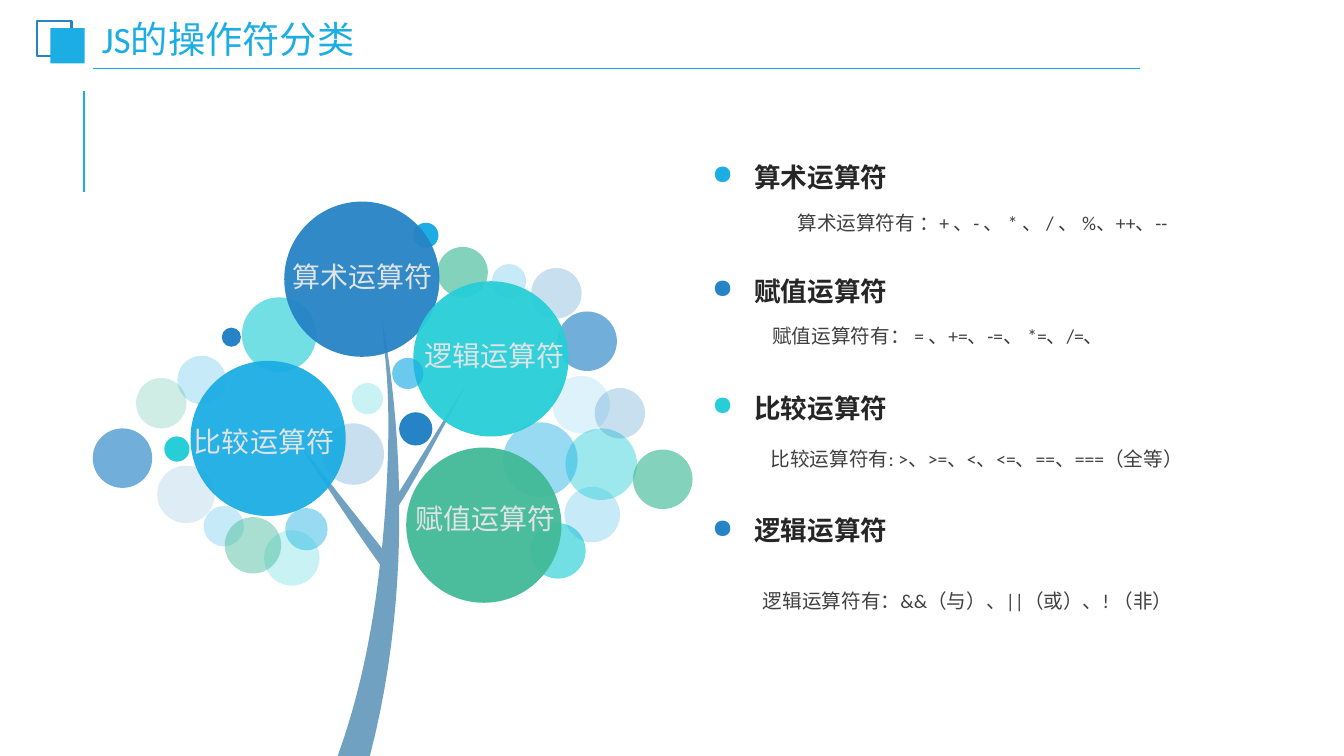
from lxml import etree
from pptx import Presentation, util as u
from pptx.dml.color import RGBColor
from pptx.enum import shapes, text
from pptx.oxml.ns import qn

SKY = RGBColor(0x1C, 0xAD, 0xE4)
BLUE = RGBColor(0x26, 0x83, 0xC6)
TEAL = RGBColor(0x27, 0xCE, 0xD7)
GREEN = RGBColor(0x42, 0xBA, 0x97)
TRUNK = RGBColor(0x70, 0xA1, 0xC0)
PALE = RGBColor(0xDF, 0xE3, 0xE5)
INK = RGBColor(0x26, 0x26, 0x26)
GREY = RGBColor(0x40, 0x40, 0x40)

# The grid has 133.33 columns and 75 rows; each cell is a tenth of an inch
CELL = u.Inches(0.1)
COLUMNS, ROWS = 133.33, 75


def cells(*counts):
    return [round(count * CELL) for count in counts]


def curve(start, first, second, end, steps=12):
    """Points along a cubic curve, without its start."""
    points = []
    for step in range(1, steps + 1):
        t = step / steps
        weights = ((1 - t) ** 3, 3 * t * (1 - t) ** 2, 3 * t * t * (1 - t), t ** 3)
        points.append(tuple(
            sum(w * p[axis] for w, p in zip(weights, (start, first, second, end)))
            for axis in (0, 1)))
    return points


class SlidePainter:
    font = "Calibri"

    def __init__(self, page):
        self.page = page

    def style(self, frame, size, color, bold=False, align=None, spacing=None):
        para = frame.paragraphs[0]
        para.alignment = align
        if spacing:
            para.line_spacing = spacing
        for span in para.runs:
            span.font.name = self.font
            span.font.size = u.Pt(size)
            span.font.bold = bold
            span.font.color.rgb = color

    def inset(self, frame, side, edge):
        frame.margin_left = frame.margin_right = u.Inches(side)
        frame.margin_top = frame.margin_bottom = u.Inches(edge)

    def title(self, words, left, top, width, height):
        box = self.page.shapes.title
        box.left, box.top, box.width, box.height = cells(left, top, width, height)
        frame = box.text_frame
        frame.text = words
        frame.auto_size = text.MSO_AUTO_SIZE.NONE
        frame.vertical_anchor = text.MSO_ANCHOR.MIDDLE
        self.inset(frame, 0.07, 0.04)
        self.style(frame, 26.6, SKY, align=text.PP_ALIGN.LEFT, spacing=0.9)

    def line(self, x1, y1, x2, y2, weight):
        rule = self.page.shapes.add_connector(
            shapes.MSO_CONNECTOR.STRAIGHT, *cells(x1, y1, x2, y2))
        rule.line.color.rgb = SKY
        rule.line.width = u.Pt(weight)
        etree.SubElement(rule.element.spPr, qn("a:effectLst"))

    def square(self, left, top, fill=None, outline=None):
        box = self.page.shapes.add_shape(
            shapes.MSO_SHAPE.RECTANGLE, *cells(left, top, 3.4, 3.5))
        self.paint(box, fill)
        if outline:
            box.line.color.rgb = outline
            box.line.width = u.Pt(1.5)

    def paint(self, shape, fill, opacity=100):
        shape.shadow.inherit = False
        shape.line.fill.background()
        if fill is None:
            shape.fill.background()
            return
        shape.fill.solid()
        shape.fill.fore_color.rgb = fill
        if opacity < 100:
            color = shape.element.spPr.find(qn("a:solidFill")).find(qn("a:srgbClr"))
            etree.SubElement(color, qn("a:alpha"), val=str(opacity * 1000))

    def circle(self, left, top, size, fill, opacity):
        disc = self.page.shapes.add_shape(
            shapes.MSO_SHAPE.OVAL, *cells(left, top, size, size))
        self.paint(disc, fill, opacity)

    def outline(self, start, segments, fill):
        points = [start]
        for segment in segments:
            points += curve(points[-1], *segment) if len(segment) == 3 else segment
        builder = self.page.shapes.build_freeform(*cells(*start))
        builder.add_line_segments([cells(*point) for point in points[1:]], close=True)
        self.paint(builder.convert_to_shape(), fill)

    def textbox(self, words, left, top, width, height):
        box = self.page.shapes.add_textbox(*cells(left, top, width, height))
        frame = box.text_frame
        frame.word_wrap = True
        frame.text = words
        return frame

    def label(self, words, left, top, width):
        frame = self.textbox(words, left, top, width, 4.4)
        frame.auto_size = text.MSO_AUTO_SIZE.SHAPE_TO_FIT_TEXT
        self.style(frame, 20, PALE, align=text.PP_ALIGN.CENTER)

    def heading(self, words, top, bullet):
        frame = self.textbox(words, 68.95, top, 37.4, 4.2)
        self.inset(frame, 0.17, 0)
        props = frame.paragraphs[0]._p.get_or_add_pPr()
        props.set("marL", str(u.Inches(0.42)))
        props.set("indent", str(-u.Inches(0.42)))
        color = etree.SubElement(props, qn("a:buClr"))
        etree.SubElement(color, qn("a:srgbClr"), val=str(bullet))
        etree.SubElement(props, qn("a:buChar"), char="●")
        self.style(frame, 19, INK, bold=True, spacing=1.2)

    def detail(self, words, left, top, width):
        frame = self.textbox(words, left, top, width, 8.2)
        self.inset(frame, 0.17, 0)
        self.style(frame, 14, GREY, align=text.PP_ALIGN.CENTER, spacing=1.3)


# Tree outline: one point is a straight edge, three points are a curve
TREE_START = (46.2, 38.2)
TREE = [
    [(39.6, 48.8)],
    [(39.4, 38.7), (37.9, 31.8), (37.9, 31.8)],
    [(38.3, 36.4)],
    [(38.7, 40.5), (38.6, 47.2), (37.9, 54.4)],
    [(29.5, 43.8)],
    [(29.5, 43.8), (35.4, 52.9), (37.7, 56)],
    [(37, 62.5), (35.6, 69.3), (33.5, 75)],
    [(36.7, 75)],
    [(39, 66.1), (39.7, 57.3), (39.6, 50.1)],
    [(41.1, 47.9), (46.2, 38.2), (46.2, 38.2)],
]

# Leaves from back to front: left, top, diameter, colour, opacity
LEAVES = [
    (24, 29.5, 7.4, TEAL, 65), (32, 42, 6.1, BLUE, 25),
    (52.6, 51.9, 5.5, TEAL, 65), (56, 48.3, 5.5, SKY, 25),
    (56.1, 42.5, 7.1, TEAL, 45), (39.6, 40.9, 3.3, BLUE, 100),
    (20.2, 50.2, 4, SKY, 25), (41, 22.1, 2.5, SKY, 100),
    (16.3, 43.3, 2.5, TEAL, 100), (49.9, 41.9, 7.4, SKY, 45),
    (17.6, 35.3, 4.8, SKY, 25), (28.3, 50.4, 4.2, SKY, 45),
    (22, 32.5, 1.9, BLUE, 100), (34.9, 38, 3.1, TEAL, 25),
    (54.8, 37.3, 5.7, SKY, 15), (15.6, 46.2, 5.7, BLUE, 15),
    (43.4, 24.5, 5, GREEN, 65), (59, 38.5, 5, BLUE, 25),
    (55.3, 30.9, 5.9, BLUE, 65), (13.5, 37.5, 5, GREEN, 25),
    (26.2, 52.6, 5.5, TEAL, 25), (22.3, 51.3, 5.6, GREEN, 45),
    (62.8, 44.6, 5.9, GREEN, 65), (9.2, 42.5, 5.9, BLUE, 65),
    (48.8, 26.2, 3.4, SKY, 25), (52.7, 26.6, 5, BLUE, 25),
    (28.2, 20, 15.4, BLUE, 95), (18.9, 35.8, 15.4, SKY, 95),
    (40.3, 44.4, 15.4, GREEN, 95), (41, 27.9, 15.4, TEAL, 95),
    (38.9, 35.5, 3.1, SKY, 65),
]

LABELS = [
    ("比较运算符", 17.4, 41.6, 17.6),
    ("算术运算符", 27.3, 25.3, 17.3),
    ("逻辑运算符", 40.3, 33.1, 17.5),
    ("赋值运算符", 39.1, 49.3, 18.2),
]

# Heading, its top and bullet colour, then detail with left, top and width
OPERATORS = [
    ("算术运算符", 15.3, SKY,
     "算术运算符有 ：+ 、- 、 * 、 / 、 %、++、--", 73, 20.2, 48.9),
    ("赋值运算符", 26.6, BLUE,
     "赋值运算符有： = 、+=、-=、 *=、/=、", 71.4, 31.4, 43.3),
    ("比较运算符", 38.2, TEAL,
     "比较运算符有: >、>=、<、<=、==、===（全等）", 70.2, 43.6, 53.4),
    ("逻辑运算符", 50.4, BLUE,
     "逻辑运算符有：&&（与）、||（或）、! （非）", 69.3, 57.7, 53.4),
]


def main():
    deck = Presentation()
    deck.slide_width, deck.slide_height = cells(COLUMNS, ROWS)
    painter = SlidePainter(deck.slides.add_slide(deck.slide_layouts[5]))

    # Title and frame
    painter.line(8.3, 19, 8.3, 9, 1.5)
    painter.line(9.2, 6.8, 113.1, 6.8, 1.25)
    painter.square(3.7, 2.1, outline=BLUE)
    painter.square(5, 2.8, fill=SKY)
    painter.title("JS的操作符分类", 9.4, 2.3, 39.3, 3.7)

    # Tree
    painter.outline(TREE_START, TREE, TRUNK)
    for leaf in LEAVES:
        painter.circle(*leaf)
    for label in LABELS:
        painter.label(*label)

    # Operator list
    for heading, top, bullet, *detail in OPERATORS:
        painter.heading(heading, top, bullet)
        painter.detail(*detail)

    deck.save("out.pptx")


if __name__ == "__main__":
    main()
